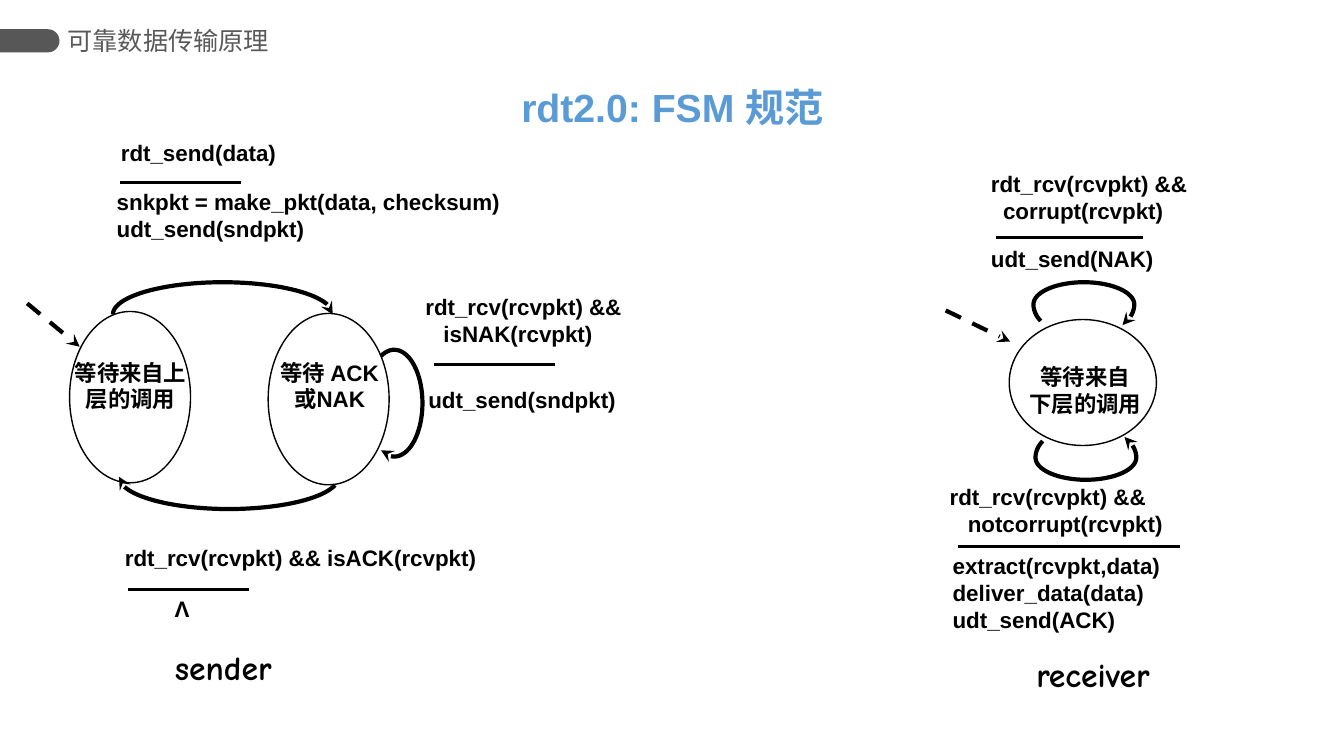
import math

import pptx
import pptx.dml.color
import pptx.enum.dml
import pptx.enum.shapes
import pptx.enum.text
import pptx.oxml.ns
import pptx.util
from lxml import etree

Inches = pptx.util.Inches
Pt = pptx.util.Pt
ALIGN = pptx.enum.text.PP_ALIGN
ANCHOR = pptx.enum.text.MSO_ANCHOR
SHAPE = pptx.enum.shapes.MSO_SHAPE
qn = pptx.oxml.ns.qn

BLACK, WHITE, GREY, HEADER_GREY, BLUE = "000000", "FFFFFF", "575757", "595959", "5B9BD5"
LINE_PITCH = 1.2
ARC_STEPS = 48

deck = pptx.Presentation()
deck.slide_width, deck.slide_height = Inches(13.33), Inches(7.5)
slide = deck.slides.add_slide(deck.slide_layouts[6])
shapes = slide.shapes


def color(hex_string):
    return pptx.dml.color.RGBColor.from_string(hex_string)


def write(text, left, top, width, height, size=16, font="Arial", fill=BLACK, bold=True,
          align=ALIGN.LEFT, wrap=True, inset=0.1, hang=0, anchor=ANCHOR.TOP):
    frame = shapes.add_textbox(Inches(left), Inches(top), Inches(width), Inches(height)).text_frame
    frame.word_wrap = wrap
    frame.vertical_anchor = anchor
    frame.margin_left = frame.margin_right = Inches(inset)
    frame.margin_top = frame.margin_bottom = Inches(0.05)
    for index, line in enumerate(text.split("\n")):
        paragraph = frame.paragraphs[0] if index == 0 else frame.add_paragraph()
        if index and hang:
            paragraph._p.get_or_add_pPr().set("marL", str(Inches(hang)))
        paragraph.alignment = align
        paragraph.line_spacing = Pt(LINE_PITCH * size)
        run = paragraph.add_run()
        run.text = line
        run.font.size = Pt(size)
        run.font.name = font
        run.font.bold = bold
        run.font.color.rgb = color(fill)


header_tab = shapes.add_shape(SHAPE.ROUND_2_SAME_RECTANGLE, Inches(0.18), Inches(0.11),
                              Inches(0.23), Inches(0.59))
header_tab.rotation = 90
header_tab.adjustments[0] = 0.5
header_tab.shadow.inherit = False
header_tab.fill.solid()
header_tab.fill.fore_color.rgb = color(GREY)
header_tab.line.fill.background()

write("可靠数据传输原理", 0.67, 0.19, 2.33, 0.42, size=18, fill=HEADER_GREY, bold=False,
      inset=0, anchor=ANCHOR.MIDDLE)
write("rdt2.0: FSM 规范", 5.05, 0.78, 3.24, 0.57, size=28, fill=BLUE, align=ALIGN.CENTER)

wait_for_call = (0.69, 3.09, 1.2, 1.7)
wait_for_ack = (2.66, 3.11, 1.2, 1.7)
wait_for_packet = (10.01, 3.17, 1.46, 1.25)
for left, top, width, height in [wait_for_call, wait_for_ack, wait_for_packet]:
    state = shapes.add_shape(SHAPE.OVAL, Inches(left), Inches(top), Inches(width), Inches(height))
    state.shadow.inherit = False
    state.fill.solid()
    state.fill.fore_color.rgb = color(WHITE)
    state.line.color.rgb = color(BLACK)
    state.line.width = Pt(1)

# center x, center y, half width, rise above center, drop below center, start and end degrees
send_arc = (2.21, 3.12, 1.09, 0.32, 0.32, 180, 360)
ack_arc = (2.27, 4.73, 1.09, 0.32, 0.32, 15, 180)
resend_loop = (3.91, 4, 0.28, 0.53, 0.53, -118, 118)
corrupt_loop = (10.75, 3.02, 0.5, 0.22, 0.32, 149, 400)
accept_loop = (10.77, 4.54, 0.5, 0.32, 0.22, 211, -40)
for center_x, center_y, half_width, rise, drop, start, end in [
        send_arc, ack_arc, resend_loop, corrupt_loop, accept_loop]:
    points = []
    for step in range(ARC_STEPS + 1):
        angle = math.radians(start + (end - start) * step / ARC_STEPS)
        half_height = drop if math.sin(angle) > 0 else rise
        points.append((Inches(center_x + half_width * math.cos(angle)),
                       Inches(center_y + half_height * math.sin(angle))))
    outline = shapes.build_freeform(*points[0])
    outline.add_line_segments(points[1:], close=False)
    transition = outline.convert_to_shape()
    transition.shadow.inherit = False
    transition.fill.background()
    transition.line.color.rgb = color(BLACK)
    transition.line.width = Pt(3)
    etree.SubElement(transition.line._get_or_add_ln(), qn("a:tailEnd"), type="stealth")

event_rules = [(left, y, left + length, y) for left, y, length in [
    (1.19, 1.81, 1.2), (1.27, 5.85, 1.2), (4.3, 3.62, 1.2), (9.5, 5.42, 2.2), (9.88, 2.36, 1.46)]]
entry_arrows = [(0.27, 3.01, 0.79, 3.44), (9.38, 3.08, 10.02, 3.39)]
for ends in event_rules + entry_arrows:
    stroke = shapes.add_connector(pptx.enum.shapes.MSO_CONNECTOR.STRAIGHT, *map(Inches, ends))
    stroke.line.color.rgb = color(BLACK)
    stroke.line.width = Pt(2)
    if ends in entry_arrows:
        stroke.line.width = Pt(3)
        stroke.line.dash_style = pptx.enum.dml.MSO_LINE.DASH
        etree.SubElement(stroke.line._get_or_add_ln(), qn("a:tailEnd"), type="stealth")
    etree.SubElement(stroke._element.spPr, qn("a:effectLst"))

for state_name, left, top, width, height in [
        ("等待来自上层的调用", 0.57, 3.51, 1.45, 0.8),
        ("等待 ACK 或NAK", 2.62, 3.51, 1.3, 0.8),
        ("等待来自\n下层的调用", 9.88, 3.55, 1.77, 0.64)]:
    write(state_name, left, top, width, height, align=ALIGN.CENTER)

for label, left, top, width, height, hang in [
        ("rdt_send(data)", 1.1, 1.33, 2.72, 0.76, 0),
        ("snkpkt = make_pkt(data, checksum)\nudt_send(sndpkt)", 1.06, 1.82, 4.4, 0.7, 0),
        ("rdt_rcv(rcvpkt) && isACK(rcvpkt)", 1.14, 5.35, 4.28, 0.5, 0),
        ("rdt_rcv(rcvpkt) &&\nisNAK(rcvpkt)", 4.12, 2.86, 2.52, 0.84, 0.18),
        ("udt_send(sndpkt)", 4.15, 3.78, 2.13, 0.7, 0),
        ("rdt_rcv(rcvpkt) &&\ncorrupt(rcvpkt)", 9.73, 1.64, 2.84, 0.4, 0.12),
        ("udt_send(NAK)", 9.73, 2.38, 2.7, 0.33, 0),
        ("rdt_rcv(rcvpkt) &&\nnotcorrupt(rcvpkt)", 9.32, 4.74, 3.19, 0.91, 0.18),
        ("extract(rcvpkt,data)\ndeliver_data(data)\nudt_send(ACK)", 9.35, 5.43, 3.16, 0.8, 0)]:
    write(label, left, top, width, height, hang=hang)

write("Λ", 1.63, 5.86, 0.35, 0.37, align=ALIGN.CENTER, wrap=False)
for role, left, top, width in [("sender", 1.58, 6.37, 1.27), ("receiver", 10.09, 6.44, 1.5)]:
    write(role, left, top, width, 0.5, size=24, font="Comic Neue", align=ALIGN.CENTER, wrap=False)

deck.save("out.pptx")
